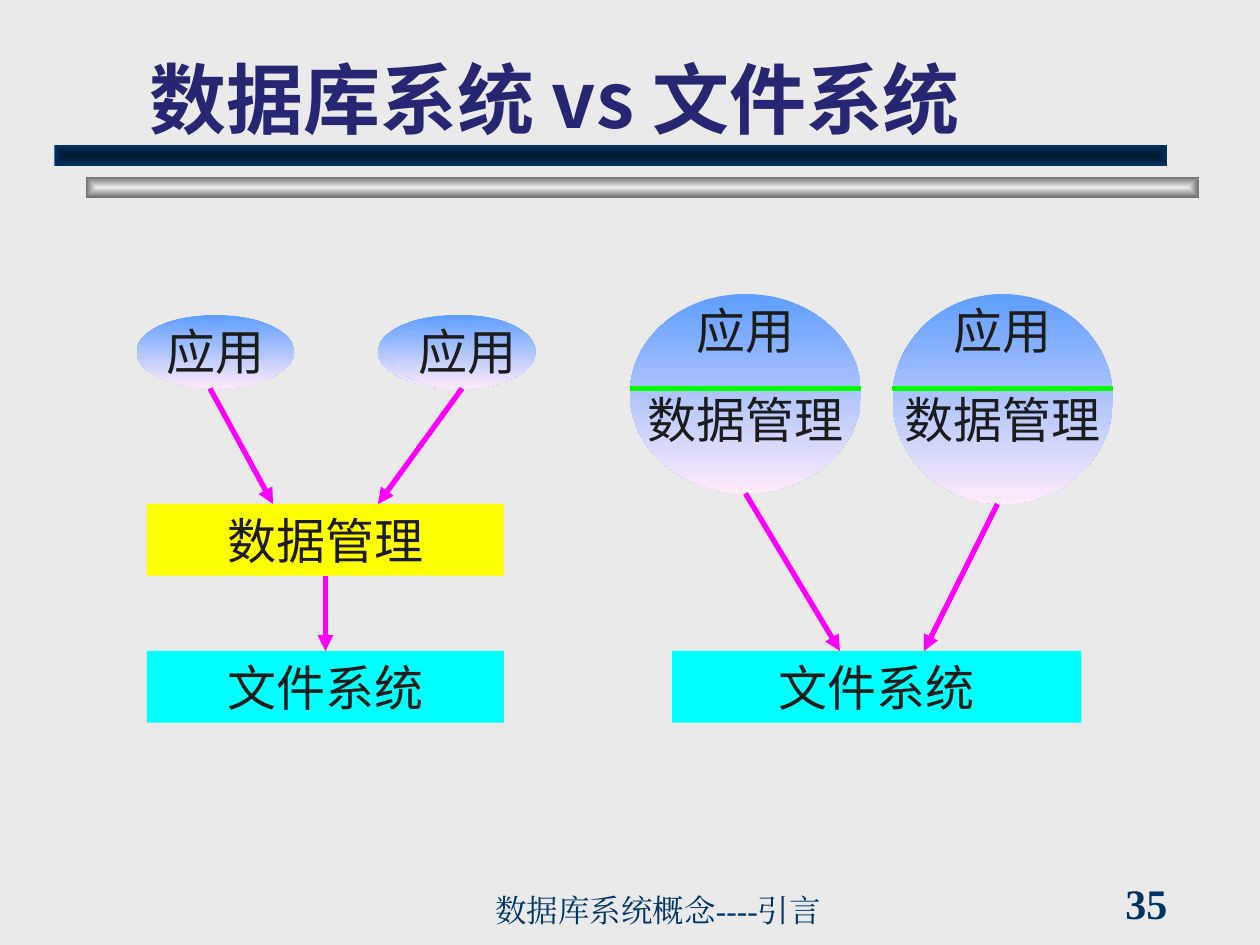
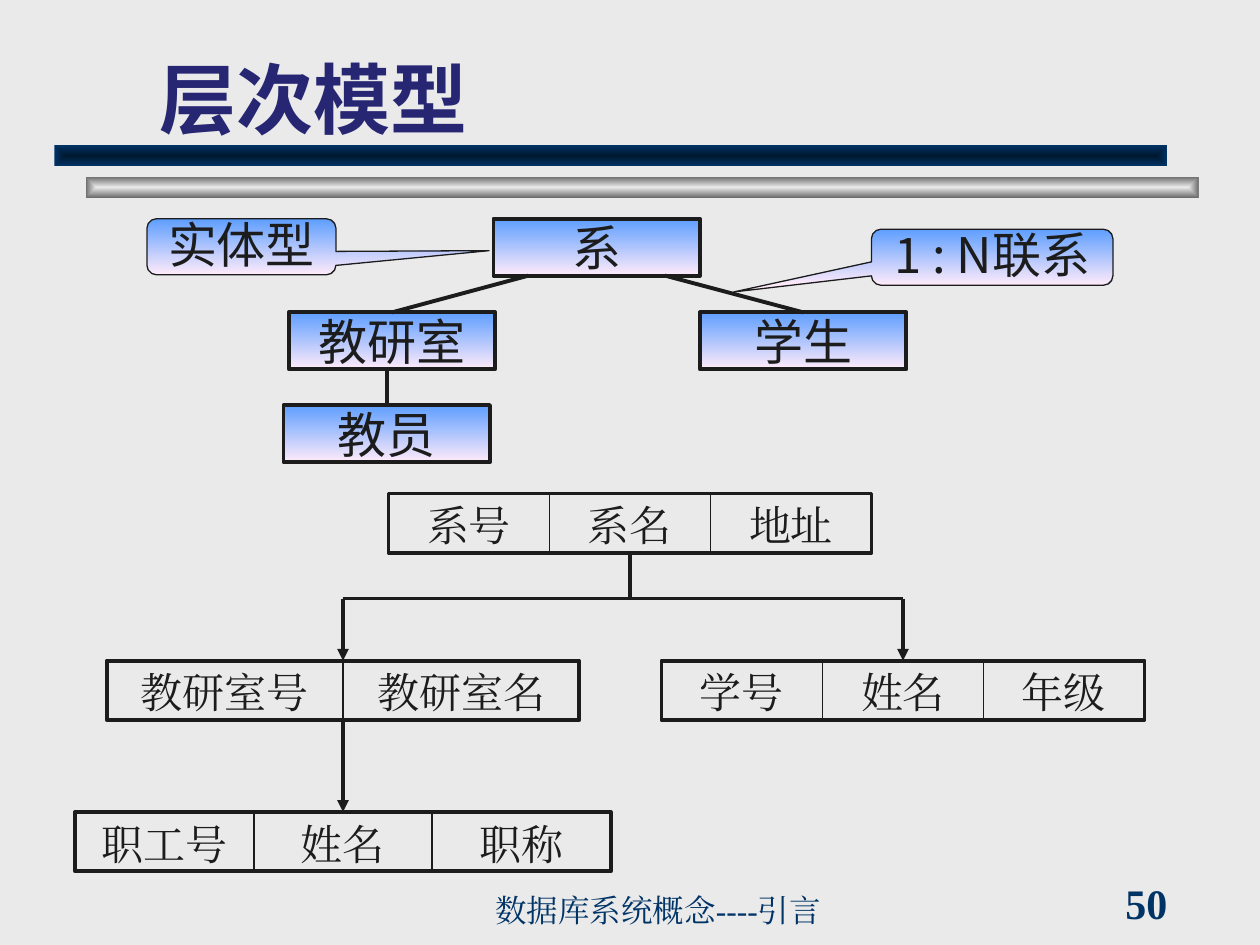
from lxml.etree import SubElement
from pptx import Presentation
from pptx.dml.color import RGBColor
from pptx.enum.shapes import MSO_CONNECTOR, MSO_SHAPE
from pptx.enum.text import MSO_ANCHOR, MSO_AUTO_SIZE, PP_ALIGN
from pptx.oxml.ns import qn
from pptx.util import Pt

BACKGROUND = RGBColor(0xEA, 0xEA, 0xEA)
BAND_GRAY = RGBColor(0x6C, 0x6C, 0x6C)
BAND_DARK = RGBColor(0x00, 0x18, 0x2F)
NAVY = RGBColor(0x00, 0x33, 0x66)
TITLE_BLUE = RGBColor(0x26, 0x26, 0x73)
INK = RGBColor(0x1C, 0x1C, 0x1C)
CYAN = RGBColor(0x00, 0xFF, 0xFF)
YELLOW = RGBColor(0xFF, 0xFF, 0x00)
MAGENTA = RGBColor(0xFF, 0x00, 0xFF)
GREEN = RGBColor(0x00, 0xFF, 0x00)
SKY = RGBColor(0x5E, 0x9E, 0xFF)
PINK = RGBColor(0xFF, 0xEB, 0xFA)

TITLE_FORMAT = {"name": "Noto Sans CJK SC", "size": Pt(44), "bold": True}
FOOTER_FORMAT = {"name": "Times New Roman", "size": Pt(18)}
NUMBER_FORMAT = {"name": "Times New Roman", "size": Pt(24), "bold": True}
LABEL_FORMAT = {"name": "Montserrat", "size": Pt(28)}
FIELD_FORMAT = {"name": "Times New Roman", "size": Pt(24)}
ENTITY_FORMAT = {"name": "Noto Sans CJK JP", "size": Pt(28)}

NO_MARGINS = {"margin_left": 0, "margin_right": 0, "margin_top": 0, "margin_bottom": 0}
CALLOUT_MARGINS = {**NO_MARGINS, "margin_bottom": Pt(3.6)}
FIELD_HEIGHT = 34
ENTITY_WIDTH, ENTITY_HEIGHT = 118, 32.5


def set_values(target, values):
    for name, value in values.items():
        setattr(target, name, value)


def place(shape, box):
    set_values(shape, dict(zip(("left", "top", "width", "height"), map(Pt, box))))


def write(shape, text, font_format, color=INK, align=PP_ALIGN.CENTER,
          anchor=MSO_ANCHOR.TOP, margins=None):
    frame = shape.text_frame
    frame.text = text
    set_values(frame, {"word_wrap": True, "auto_size": MSO_AUTO_SIZE.NONE,
                       "vertical_anchor": anchor, **(margins or {})})
    for index, paragraph in enumerate(frame.paragraphs):
        paragraph.alignment = align
        paragraph.space_before = Pt(17.5 if index else 0)
        for run in paragraph.runs:
            set_values(run.font, font_format)
            run.font.color.rgb = color
            east_asian = SubElement(run._r.get_or_add_rPr(), qn("a:ea"))
            east_asian.set("typeface", font_format["name"])


def add_text(slide, box, text, font_format, **options):
    text_box = slide.shapes.add_textbox(*map(Pt, box))
    write(text_box, text, font_format, **options)


def add_figure(slide, kind, box, fill=None, line_width=0):
    shape = slide.shapes.add_shape(kind, *map(Pt, box))
    shape.shadow.inherit = False
    if fill is None:
        shape.fill.background()
    elif isinstance(fill, RGBColor):
        shape.fill.solid()
        shape.fill.fore_color.rgb = fill
    else:
        shape.fill.gradient()
        shape.fill.gradient_angle = 270
        for stop, color in zip(shape.fill.gradient_stops, fill):
            stop.color.rgb = color
    if line_width:
        shape.line.color.rgb = INK
        shape.line.width = Pt(line_width)
    else:
        shape.line.fill.background()
    return shape


def add_band(slide, box, center_color, edge_color):
    band = add_figure(slide, MSO_SHAPE.RECTANGLE, box, (center_color, edge_color))
    gradient = band.element.spPr.find(qn("a:gradFill"))
    gradient.remove(gradient.find(qn("a:lin")))
    inward = SubElement(gradient, qn("a:path"), {"path": "rect"})
    SubElement(inward, qn("a:fillToRect"), dict.fromkeys("ltrb", "50000"))


def add_line(slide, start, end, color=INK, width=2.25, arrow=False,
             begin_side=None, end_side=None):
    connector = slide.shapes.add_connector(
        MSO_CONNECTOR.STRAIGHT, *map(Pt, (*start, *end)))
    connector.line.color.rgb = color
    connector.line.width = Pt(width)
    if arrow:
        SubElement(connector.line._get_or_add_ln(), qn("a:tailEnd"), {"type": "triangle"})
    SubElement(connector.element.spPr, qn("a:effectLst"))
    if begin_side:
        connector.begin_connect(*begin_side)
    if end_side:
        connector.end_connect(*end_side)


def add_base_slide(presentation, title, title_left, number, title_font):
    slide = presentation.slides.add_slide(presentation.slide_layouts[5])
    add_band(slide, (49, 101, 636, 12), BACKGROUND, BAND_GRAY)
    add_band(slide, (31, 83, 636, 12), BAND_DARK, NAVY)
    add_text(slide, (636, 504, 78, 24), number, NUMBER_FORMAT, color=NAVY,
             align=PP_ALIGN.LEFT, anchor=MSO_ANCHOR.MIDDLE)
    add_text(slide, (276, 510, 294, 24), "数据库系统概念----引言", FOOTER_FORMAT,
             color=NAVY, align=PP_ALIGN.LEFT, anchor=MSO_ANCHOR.BOTTOM)
    place(slide.shapes.title, (title_left, 24, 613.5, 62))
    write(slide.shapes.title, title, {**TITLE_FORMAT, "name": title_font},
          color=TITLE_BLUE, align=PP_ALIGN.LEFT, anchor=MSO_ANCHOR.BOTTOM)
    return slide


def add_layer(slide, left, top, width, text, fill):
    layer = add_figure(slide, MSO_SHAPE.RECTANGLE, (left, top, width, 41), fill)
    write(layer, text, LABEL_FORMAT)
    return layer


def add_record(slide, left, top, field_width, fields):
    for index, field in enumerate(fields):
        cell = add_figure(slide, MSO_SHAPE.RECTANGLE,
                          (left + index * field_width, top, field_width, FIELD_HEIGHT),
                          line_width=1)
        write(cell, field, FIELD_FORMAT)
    return add_figure(slide, MSO_SHAPE.RECTANGLE,
                      (left, top, field_width * len(fields), FIELD_HEIGHT),
                      line_width=2.25)


def add_entity(slide, left, top, text):
    entity = add_figure(slide, MSO_SHAPE.RECTANGLE,
                        (left, top, ENTITY_WIDTH, ENTITY_HEIGHT), (SKY, PINK), 2.25)
    write(entity, text, ENTITY_FORMAT, anchor=MSO_ANCHOR.MIDDLE, margins=NO_MARGINS)
    return entity


def add_callout(slide, box, text, pointer):
    callout = add_figure(slide, MSO_SHAPE.ROUNDED_RECTANGULAR_CALLOUT, box,
                         (SKY, PINK), 0.75)
    for index, value in enumerate(pointer):
        callout.adjustments[index] = value
    write(callout, text, ENTITY_FORMAT, anchor=MSO_ANCHOR.MIDDLE, margins=CALLOUT_MARGINS)


def build_comparison(presentation):
    slide = add_base_slide(presentation, "数据库系统 vs 文件系统", 78, "35",
                           "Noto Sans CJK SC")
    file_system = add_layer(slide, 84, 372, 204, "文件系统", CYAN)
    data_manager = add_layer(slide, 84, 288, 204, "数据管理", YELLOW)
    for left, width in ((78, 90), (216, 90), (222, 84)):
        add_figure(slide, MSO_SHAPE.OVAL, (left, 180, width, 42), (SKY, PINK))
    for left, width in ((78, 90), (228, 78)):
        add_text(slide, (left, 180, width, 41), "应用", LABEL_FORMAT)
    add_layer(slide, 384, 372, 234, "文件系统", CYAN)
    for left, width, height in ((360, 132, 114), (510, 126, 120)):
        add_figure(slide, MSO_SHAPE.OVAL, (left, 168, width, height), (SKY, PINK))
    for start, end in (((120, 222), (156, 288)), ((264, 222), (216, 288)),
                       ((426, 282), (480, 372)), ((570, 288), (528, 372))):
        add_line(slide, start, end, MAGENTA, 3, arrow=True)
    add_line(slide, (186, 329), (186, 372), MAGENTA, 3, arrow=True,
             begin_side=(data_manager, 2), end_side=(file_system, 0))
    for text_left, text_width, left, right in ((360, 132, 360, 492), (504, 138, 510, 636)):
        add_text(slide, (text_left, 168, text_width, 92), "应用\n数据管理", LABEL_FORMAT)
        add_line(slide, (left, 222), (right, 222), GREEN, 3)


def build_hierarchy(presentation):
    slide = add_base_slide(presentation, "层次模型", 84, "50", "Lato")
    department_record = add_record(slide, 222, 282, 92, ("系号", "系名", "地址"))
    office_record = add_record(slide, 61, 377.5, 135, ("教研室号", "教研室名"))
    student_record = add_record(slide, 378, 377.5, 92, ("学号", "姓名", "年级"))
    staff_record = add_record(slide, 43, 464, 102, ("职工号", "姓名", "职称"))
    add_line(slide, (360, 316), (360, 342), begin_side=(department_record, 2))
    add_line(slide, (196, 342), (516, 342))
    for center, record in ((196, office_record), (516, student_record)):
        add_line(slide, (center, 342), (center, 377.5), arrow=True, end_side=(record, 0))
    add_line(slide, (196, 411.5), (196, 464), arrow=True,
             begin_side=(office_record, 2), end_side=(staff_record, 0))

    add_entity(slide, 282, 125, "系")
    office = add_entity(slide, 165, 178.5, "教研室")
    student = add_entity(slide, 400, 178.5, "学生")
    staff = add_entity(slide, 162, 231.5, "教员")
    add_line(slide, (302, 157.5), (224, 178.5), end_side=(office, 0))
    add_line(slide, (380, 157.5), (459, 178.5), end_side=(student, 0))
    add_line(slide, (221, 211), (221, 231.5), end_side=(staff, 0))
    add_callout(slide, (498, 131, 138, 32), "1 : N联系", (-1.07, 0.62, 0.17))
    add_callout(slide, (84, 125, 108, 32), "实体型", (1.31, 0.07, 0.17))


def main():
    presentation = Presentation()
    presentation.slide_width, presentation.slide_height = Pt(720), Pt(540)
    background = presentation.slide_master.background.fill
    background.solid()
    background.fore_color.rgb = BACKGROUND
    build_comparison(presentation)
    build_hierarchy(presentation)
    presentation.save("out.pptx")


if __name__ == "__main__":
    main()
